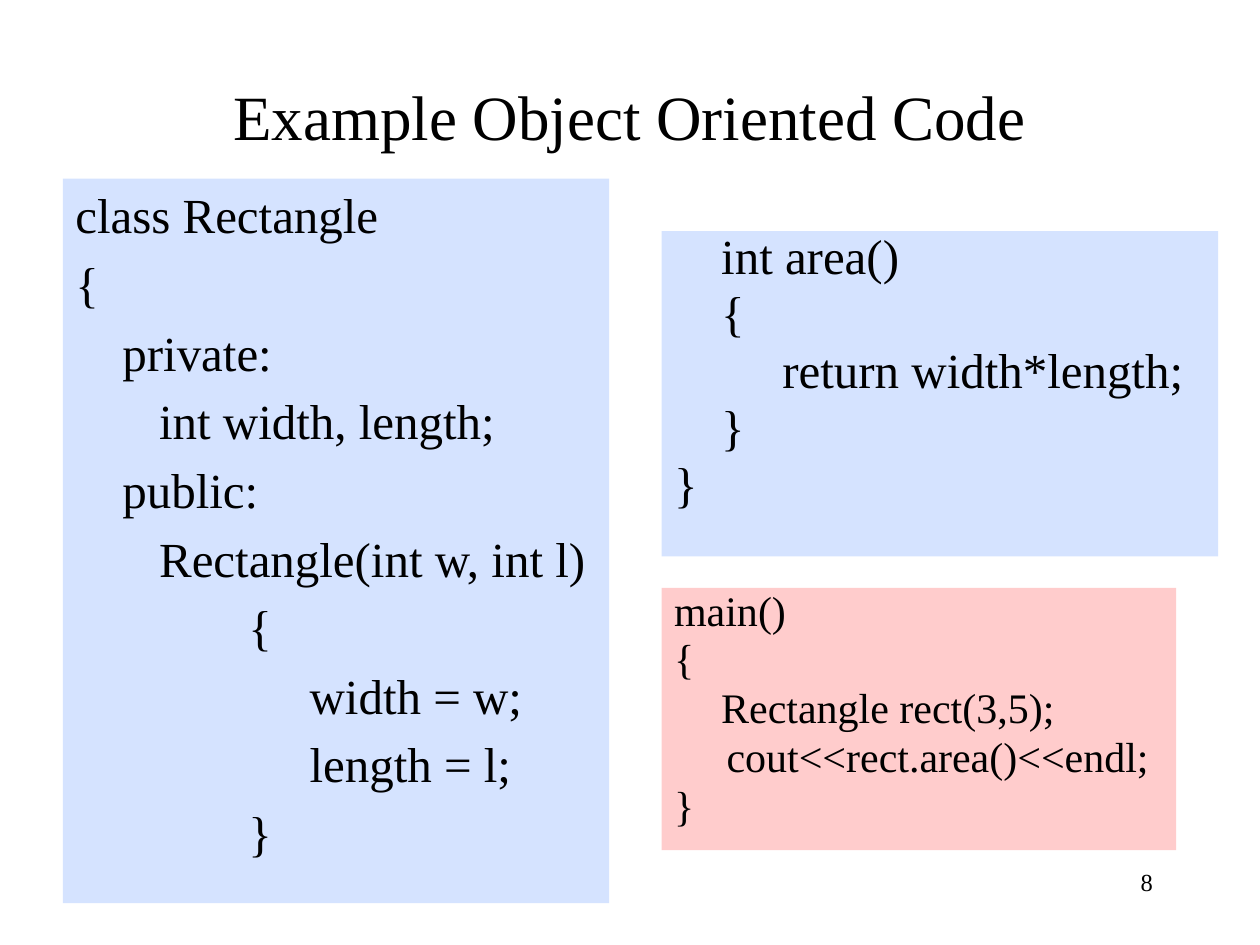
from pptx import Presentation
from pptx.dml.color import RGBColor
from pptx.enum.shapes import MSO_SHAPE
from pptx.enum.text import MSO_ANCHOR, PP_ALIGN
from pptx.util import Cm, Pt

RECTANGLE = MSO_SHAPE.RECTANGLE
TOP, MIDDLE = MSO_ANCHOR.TOP, MSO_ANCHOR.MIDDLE
LEFT, CENTER, RIGHT = PP_ALIGN.LEFT, PP_ALIGN.CENTER, PP_ALIGN.RIGHT
BLACK = RGBColor(0x00, 0x00, 0x00)
BLUE = RGBColor(0xD5, 0xE3, 0xFF)
PINK = RGBColor(0xFF, 0xCC, 0xCC)

CLASS_CODE = """class Rectangle
{
\tprivate:
\t   int width, length;
\tpublic:
\t   Rectangle(int w, int l)
\t\t{
\t\t     width = w;
\t\t     length = l;
\t\t}"""

AREA_CODE = """\tint area()
\t{
\t     return width*length;
\t}
}"""

MAIN_CODE = """main()
{
\tRectangle rect(3,5);
     cout<<rect.area()<<endl;
}"""


class CodeSlide:
    """Draws labels and code panels in one style on a slide."""

    FONT = "Times New Roman"
    INDENT = Cm(0.95)
    TAB_SIZE = Cm(2.54)
    SPACE_RATIO = 0.2

    def __init__(self, slide):
        self.slide = slide

    def style(self, paragraph, size, alignment):
        paragraph.alignment = alignment
        for run in paragraph.runs:
            run.font.name = self.FONT
            run.font.size = Pt(size)
            run.font.color.rgb = BLACK

    def label(self, text, left, top, width, height, size, alignment, anchor=TOP):
        shape = self.slide.shapes.add_textbox(Cm(left), Cm(top), Cm(width), Cm(height))
        frame = shape.text_frame
        frame.word_wrap = True
        frame.vertical_anchor = anchor
        frame.text = text
        self.style(frame.paragraphs[0], size, alignment)

    def code(self, text, left, top, width, height, size, fill, line_spacing):
        shape = self.slide.shapes.add_shape(
            RECTANGLE, Cm(left), Cm(top), Cm(width), Cm(height))
        shape.shadow.inherit = False
        shape.fill.solid()
        shape.fill.fore_color.rgb = fill
        shape.line.fill.background()
        frame = shape.text_frame
        frame.word_wrap = True
        frame.vertical_anchor = TOP
        frame.text = text
        for index, paragraph in enumerate(frame.paragraphs):
            properties = paragraph._p.get_or_add_pPr()
            properties.set("marL", str(self.INDENT))
            properties.set("indent", str(-self.INDENT))
            properties.set("defTabSz", str(self.TAB_SIZE))
            paragraph.line_spacing = line_spacing
            paragraph.space_before = Pt(size * self.SPACE_RATIO if index else 0)
            self.style(paragraph, size, LEFT)


def main():
    presentation = Presentation()
    presentation.slide_width = Cm(25.4)
    presentation.slide_height = Cm(19.05)
    slide = presentation.slides.add_slide(presentation.slide_layouts[6])
    page = CodeSlide(slide)
    page.label("8", 18.2, 17.36, 5.29, 1.27, 14, RIGHT)
    page.code(CLASS_CODE, 1.27, 3.6, 11.01, 14.61, 28, BLUE, 1.0)
    page.code(MAIN_CODE, 13.34, 11.85, 10.37, 5.29, 24, PINK, 0.8)
    page.code(AREA_CODE, 13.34, 4.66, 11.22, 6.56, 28, BLUE, 0.8)
    page.label("Example Object Oriented Code", 1.9, 1.27, 21.59, 2.12, 36, CENTER, MIDDLE)
    presentation.save("out.pptx")


if __name__ == "__main__":
    main()
